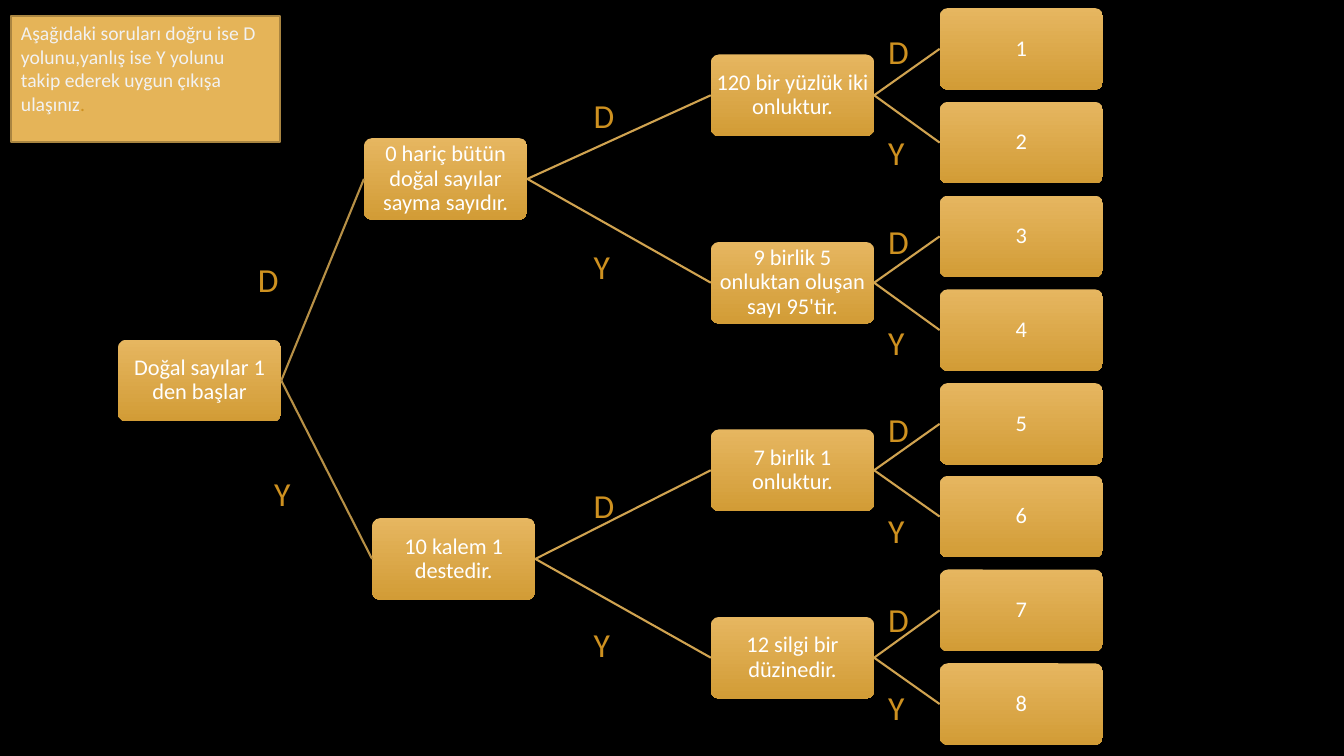
from lxml.etree import SubElement
from pptx import Presentation
from pptx.dml.color import RGBColor
from pptx.enum.shapes import MSO_CONNECTOR, MSO_SHAPE
from pptx.enum.text import MSO_ANCHOR as ANCHOR, MSO_AUTO_SIZE as AUTO, PP_ALIGN as ALIGN
from pptx.oxml.ns import qn
from pptx.util import Pt

PX = 9144  # 100 px to the inch
BOX_W, BOX_H = 162, 81
LEFT_SIDE, RIGHT_SIDE = 1, 3

ROOT = ("Doğal sayılar 1 den başlar", 117, 337)
BRANCHES = [("0 hariç bütün doğal sayılar sayma sayıdır.", 361, 137),
            ("10 kalem 1 destedir.", 369, 514)]
QUESTIONS = ["120 bir yüzlük iki onluktur.", "9 birlik 5 onluktan oluşan sayı 95'tir.",
             "7 birlik 1 onluktur.", "12 silgi bir düzinedir."]
ANSWERS = {
    "D": [(246, 252), (579, 89), (579, 476), (871, 26), (871, 214), (871, 401), (871, 589)],
    "Y": [(262, 464), (579, 239), (579, 614), (871, 126), (871, 314), (871, 501), (871, 677)],
}
ANSWER_WIDTH = {"D": 41, "Y": 37}


def rgb(value):
    return RGBColor.from_string(value)


class TreeSlide:
    font = "Calibri"
    gold, white = "CE9120", "FFFFFF"
    gradient = ("E6B660", "D29C36")

    def __init__(self, prs):
        self.slide = prs.slides.add_slide(prs.slide_layouts[6])
        self.shapes = self.slide.shapes
        fill = self.slide.background.fill
        fill.solid()
        fill.fore_color.rgb = rgb("000000")

    def style(self, p, size, color, align):
        p.alignment = align
        for r in p.runs:
            r.font.name, r.font.size = self.font, Pt(size)
            r.font.color.rgb = rgb(color)

    def shape(self, kind, x, y, w, h):
        s = self.shapes.add_shape(kind, x * PX, y * PX, w * PX, h * PX)
        s.shadow.inherit = False
        s.text_frame.word_wrap = True
        return s

    def instructions(self, x, y, w, h, lines, end_mark):
        s = self.shape(MSO_SHAPE.RECTANGLE, x, y, w, h)
        s.fill.solid()
        s.fill.fore_color.rgb = rgb("E5B458")
        s.line.color.rgb = rgb("A98541")
        s.line.width = Pt(1.5)
        tf = s.text_frame
        tf.vertical_anchor = ANCHOR.TOP
        tf.text = "\n".join(lines)
        last = tf.paragraphs[-1]
        last.add_run().text = end_mark
        for p in tf.paragraphs:
            self.style(p, 14, "F2F2F2", ALIGN.LEFT)
        last.runs[-1].font.color.rgb = rgb(self.gold)

    def box(self, text, x, y):
        s = self.shape(MSO_SHAPE.ROUNDED_RECTANGLE, x, y, BOX_W, BOX_H)
        s.adjustments[0] = 0.1
        s.fill.gradient()
        s.fill.gradient_angle = 270
        for stop, color, position in zip(s.fill.gradient_stops, self.gradient, (0, 1)):
            stop.color.rgb, stop.position = rgb(color), position
        s.line.fill.background()
        tf = s.text_frame
        tf.margin_left = tf.margin_right = tf.margin_top = tf.margin_bottom = PX
        tf.vertical_anchor = ANCHOR.MIDDLE
        tf.text = text
        p = tf.paragraphs[0]
        p.line_spacing = 0.9
        self.style(p, 16, self.white, ALIGN.CENTER)
        return s

    def link(self, parent, child, color="D0A350"):
        line = self.shapes.add_connector(MSO_CONNECTOR.STRAIGHT, 0, 0, 0, 0)
        line.begin_connect(parent, RIGHT_SIDE)
        line.end_connect(child, LEFT_SIDE)
        line.line.color.rgb = rgb(color)
        line.line.width = Pt(1.5)
        SubElement(line._element.spPr, qn("a:effectLst"))

    def answer(self, letter, x, y):
        s = self.shapes.add_textbox(x * PX, y * PX, ANSWER_WIDTH[letter] * PX, 50 * PX)
        tf = s.text_frame
        tf.word_wrap = False
        tf.auto_size = AUTO.SHAPE_TO_FIT_TEXT
        tf.text = letter
        self.style(tf.paragraphs[0], 24, self.gold, ALIGN.LEFT)


def main():
    prs = Presentation()
    prs.slide_width, prs.slide_height = 1333 * PX, 750 * PX
    tree = TreeSlide(prs)

    tree.instructions(11, 16, 267, 125,
                      ["Aşağıdaki soruları doğru ise D yolunu,yanlış ise Y yolunu",
                       "takip ederek uygun çıkışa ulaşınız"], ".")
    for letter, places in ANSWERS.items():
        for x, y in places:
            tree.answer(letter, x, y)

    root = tree.box(*ROOT)
    branches = [tree.box(*branch) for branch in BRANCHES]
    questions = [tree.box(text, 705, 54 + 186 * i) for i, text in enumerate(QUESTIONS)]
    exits = [tree.box(str(i + 1), 932, round(8 + 92.9 * i)) for i in range(8)]

    for branch in branches:
        tree.link(root, branch, "B79046")
    for parents, children in ((branches, questions), (questions, exits)):
        for i, child in enumerate(children):
            tree.link(parents[i // 2], child)

    prs.save("out.pptx")


if __name__ == "__main__":
    main()
